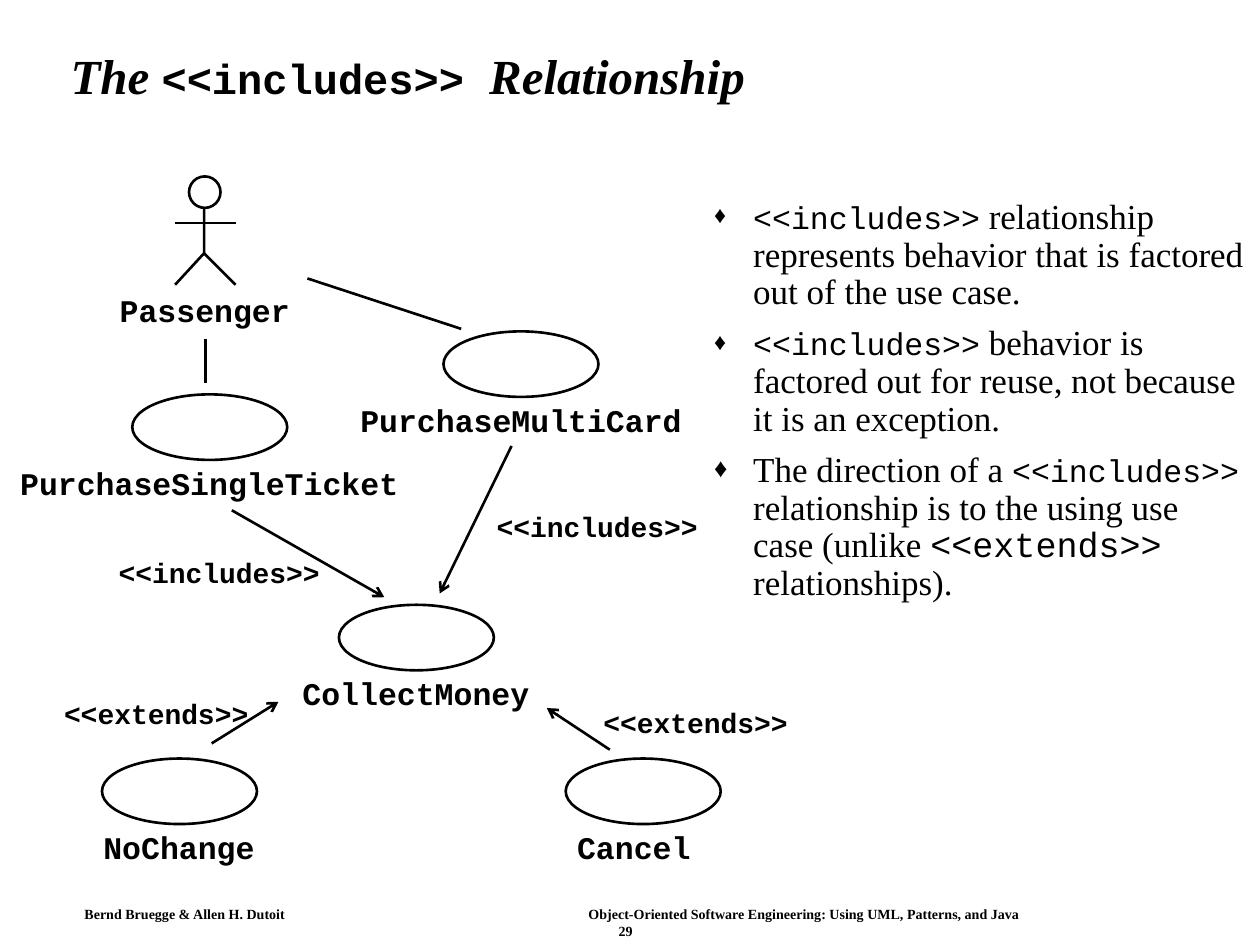
from lxml import etree
from pptx import Presentation
from pptx import util as u
from pptx.dml.color import RGBColor
from pptx.enum import shapes as sh, text as tx
from pptx.oxml.ns import qn

SERIF, MONO = "Times New Roman", "Courier New"
INC, EXT = "<<includes>>", "<<extends>>"
INK, PAPER = "000000", "FFFFFF"
OVAL = (1.23, 0.52)
LABEL = 0.55
ADV = 0.15
SLACK = 0.02

CASES = [
    ("PurchaseSingleTicket", 1.05, 3.13, 0.16),
    ("PurchaseMultiCard", 3.52, 2.63, 2.86),
    ("CollectMoney", 2.69, 4.8, 2.4),
    ("NoChange", 0.81, 6.02, 0.82),
    ("Cancel", 4.49, 6.02, 4.58),
]
LINKS = [
    (INC, (1.84, 4.05), (3.05, 4.74), (0.83, 4.36)),
    (INC, (4.06, 3.54), (3.49, 4.71), (3.83, 3.99)),
    (EXT, (1.68, 5.9), (2.21, 5.57), (0.4, 5.48)),
    (EXT, (4.84, 5.95), (4.34, 5.62), (4.68, 5.55)),
]
POINTS = [
    [(INC, 18, MONO),
     (" relationship represents behavior that is factored out of the use case.", 20, SERIF)],
    [(INC, 18, MONO),
     (" behavior is factored out for reuse, not because it is an exception.", 20, SERIF)],
    [("The direction of a ", 20, SERIF), (INC, 18, MONO),
     (" relationship is to the using use case (unlike ", 20, SERIF),
     (EXT, 20, MONO), (" relationships).", 20, SERIF)],
]


def color(code):
    return RGBColor.from_string(code)


def style(font, size, face, bold=False, slant=False):
    font.size, font.name = u.Pt(size), face
    font.bold, font.italic = bold, slant
    font.color.rgb = color(INK)


def add_run(para, words, *look):
    run = para.add_run()
    run.text = words
    style(run.font, *look)


def place(shape, left, top, wide, high):
    shape.left, shape.top = u.Inches(left), u.Inches(top)
    shape.width, shape.height = u.Inches(wide), u.Inches(high)


def pad(frame, side, edge):
    frame.margin_left = frame.margin_right = u.Inches(side)
    frame.margin_top = frame.margin_bottom = u.Inches(edge)


def add_box(slide, left, top, wide, high, wrap=False, side=0, edge=0):
    box = slide.shapes.add_textbox(*map(u.Inches, (left, top, wide, high)))
    frame = box.text_frame
    frame.word_wrap = wrap
    if not wrap:
        frame.auto_size = tx.MSO_AUTO_SIZE.SHAPE_TO_FIT_TEXT
    pad(frame, side, edge)
    return frame


def add_name(slide, words, left, top):
    wide = ADV * len(words) + SLACK
    para = add_box(slide, left, top, wide, 0.3).paragraphs[0]
    add_run(para, words, 18, MONO, True)


def outline(shape, fill=None):
    shape.shadow.inherit = False
    shape.line.color.rgb = color(INK)
    shape.line.width = u.Pt(1.5)
    if fill:
        shape.fill.solid()
        shape.fill.fore_color.rgb = color(fill)
    else:
        shape.fill.background()


def add_oval(slide, left, top, wide, high, fill=None):
    dims = map(u.Inches, (left, top, wide, high))
    outline(slide.shapes.add_shape(sh.MSO_SHAPE.OVAL, *dims), fill)


def add_line(slide, start, end, arrow=False):
    line = slide.shapes.add_connector(
        sh.MSO_CONNECTOR.STRAIGHT, *map(u.Inches, start + end))
    line.line.color.rgb = color(INK)
    line.line.width = u.Pt(1.5)
    if arrow:
        ln = line._element.spPr.find(qn("a:ln"))
        etree.SubElement(ln, qn("a:tailEnd"), type="arrow")
    etree.SubElement(line._element.spPr, qn("a:effectLst"))


def add_path(slide, *spots):
    first, *rest = [tuple(map(u.Inches, spot)) for spot in spots]
    pen = slide.shapes.build_freeform(*first)
    pen.add_line_segments(rest, close=False)
    outline(pen.convert_to_shape())


def add_actor(slide):
    add_path(slide, (1.62, 1.58), (1.62, 2.01), (1.39, 2.26))
    add_line(slide, (1.62, 2.01), (1.87, 2.26))
    add_line(slide, (1.39, 1.77), (1.87, 1.77))
    add_oval(slide, 1.5, 1.4, 0.25, 0.25, PAPER)
    add_name(slide, "Passenger", 0.95, 2.31)


def add_case(slide, words, left, top, start):
    add_oval(slide, left, top, *OVAL)
    add_name(slide, words, start, top + LABEL)


def add_link(slide, words, start, end, spot):
    add_line(slide, start, end, True)
    wide = 1.82 if words == INC else 1.68
    frame = add_box(slide, *spot, wide, 0.37, side=0.1, edge=0.05)
    frame.vertical_anchor = tx.MSO_ANCHOR.MIDDLE
    para = frame.paragraphs[0]
    para.alignment = tx.PP_ALIGN.CENTER
    add_run(para, words, 16, MONO, True)


def set_title(slide):
    title = slide.shapes.title
    place(title, 0.46, 0.24, 8.92, 0.77)
    frame = title.text_frame
    pad(frame, 0.1, 0.05)
    frame.vertical_anchor = tx.MSO_ANCHOR.MIDDLE
    para = frame.paragraphs[0]
    para.alignment, para.line_spacing = tx.PP_ALIGN.LEFT, 0.9
    add_run(para, "The ", 28, SERIF, True, True)
    add_run(para, INC + " ", 24, MONO, True)
    add_run(para, "Relationship", 28, SERIF, True, True)


def add_bullet(para):
    props = para._p.get_or_add_pPr()
    props.set("marL", str(u.Inches(0.31)))
    props.set("indent", str(-u.Inches(0.31)))
    hue = etree.SubElement(props, qn("a:buClr"))
    etree.SubElement(hue, qn("a:srgbClr"), val=INK)
    etree.SubElement(props, qn("a:buSzPct"), val="75000")
    etree.SubElement(props, qn("a:buFont"), typeface=SERIF)
    etree.SubElement(props, qn("a:buChar"), char="♦")


def add_points(slide):
    frame = add_box(slide, 5.57, 1.53, 4.43, 5.25, True, 0.1, 0.05)
    for i, parts in enumerate(POINTS):
        para = frame.add_paragraph() if i else frame.paragraphs[0]
        add_bullet(para)
        para.line_spacing = 0.9
        para.space_before = u.Pt(7.5 if i else 0)
        for part in parts:
            add_run(para, *part)


def add_footer(slide):
    frame = add_box(slide, 0.59, 7.15, 8.75, 0.33, True, 0.08, 0.04)
    para = frame.paragraphs[0]
    tabs = etree.SubElement(para._p.get_or_add_pPr(), qn("a:tabLst"))
    etree.SubElement(tabs, qn("a:tab"), pos=str(u.Inches(4)), algn="l")
    add_run(para, "Bernd Bruegge & Allen H. Dutoit\tObject-Oriented Software "
            "Engineering: Using UML, Patterns, and Java", 8, SERIF, True)
    page = frame.add_paragraph()
    page.alignment = tx.PP_ALIGN.CENTER
    add_run(page, "29", 8, SERIF, True)


def main():
    deck = Presentation()
    deck.slide_width, deck.slide_height = u.Inches(10), u.Inches(7.5)
    slide = deck.slides.add_slide(deck.slide_layouts[5])
    add_footer(slide)
    set_title(slide)
    add_points(slide)
    add_actor(slide)
    for case in CASES:
        add_case(slide, *case)
    add_line(slide, (1.63, 2.69), (1.63, 3.04))
    add_line(slide, (2.44, 2.21), (3.66, 2.61))
    for link in LINKS:
        add_link(slide, *link)
    deck.save("out.pptx")


if __name__ == "__main__":
    main()
